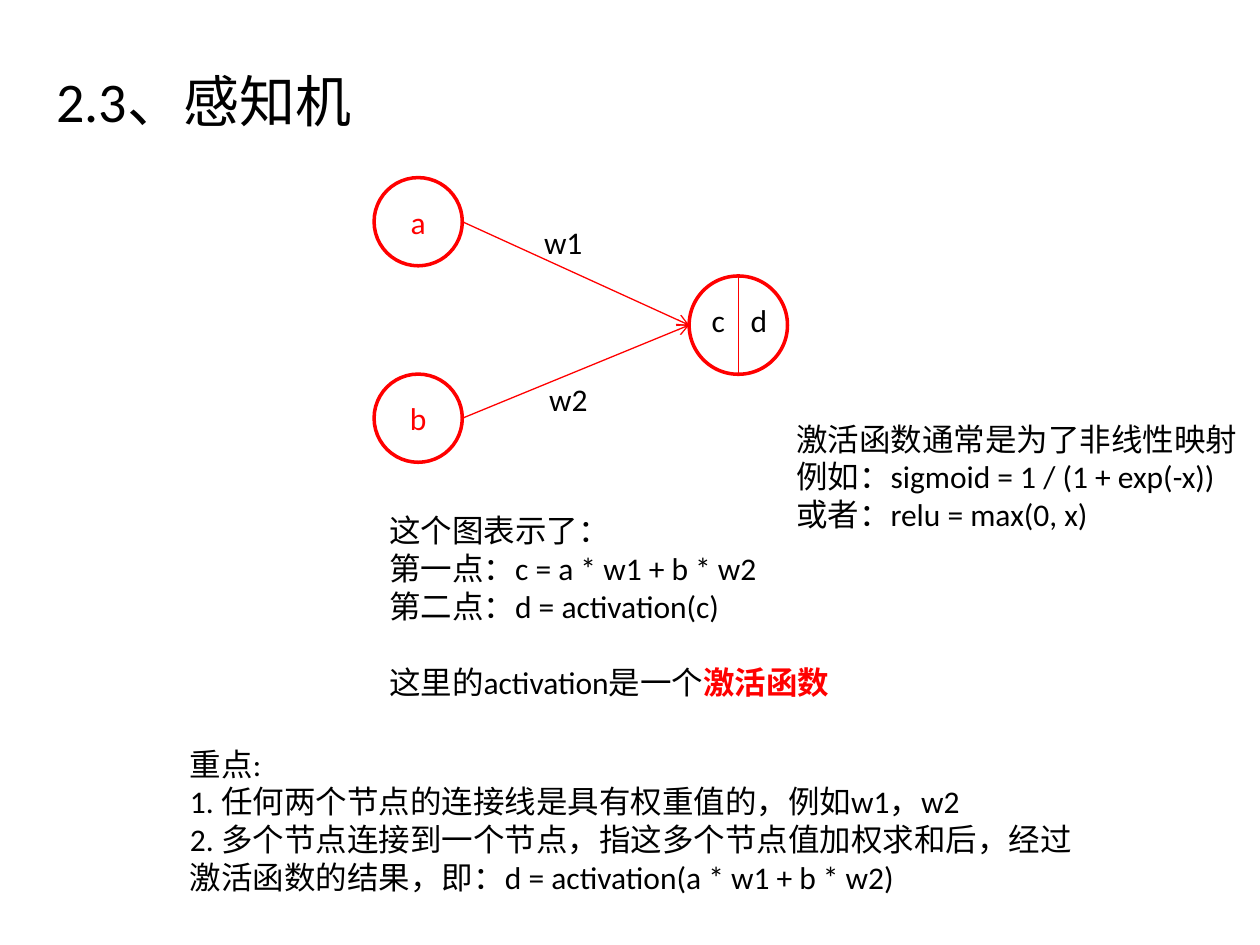
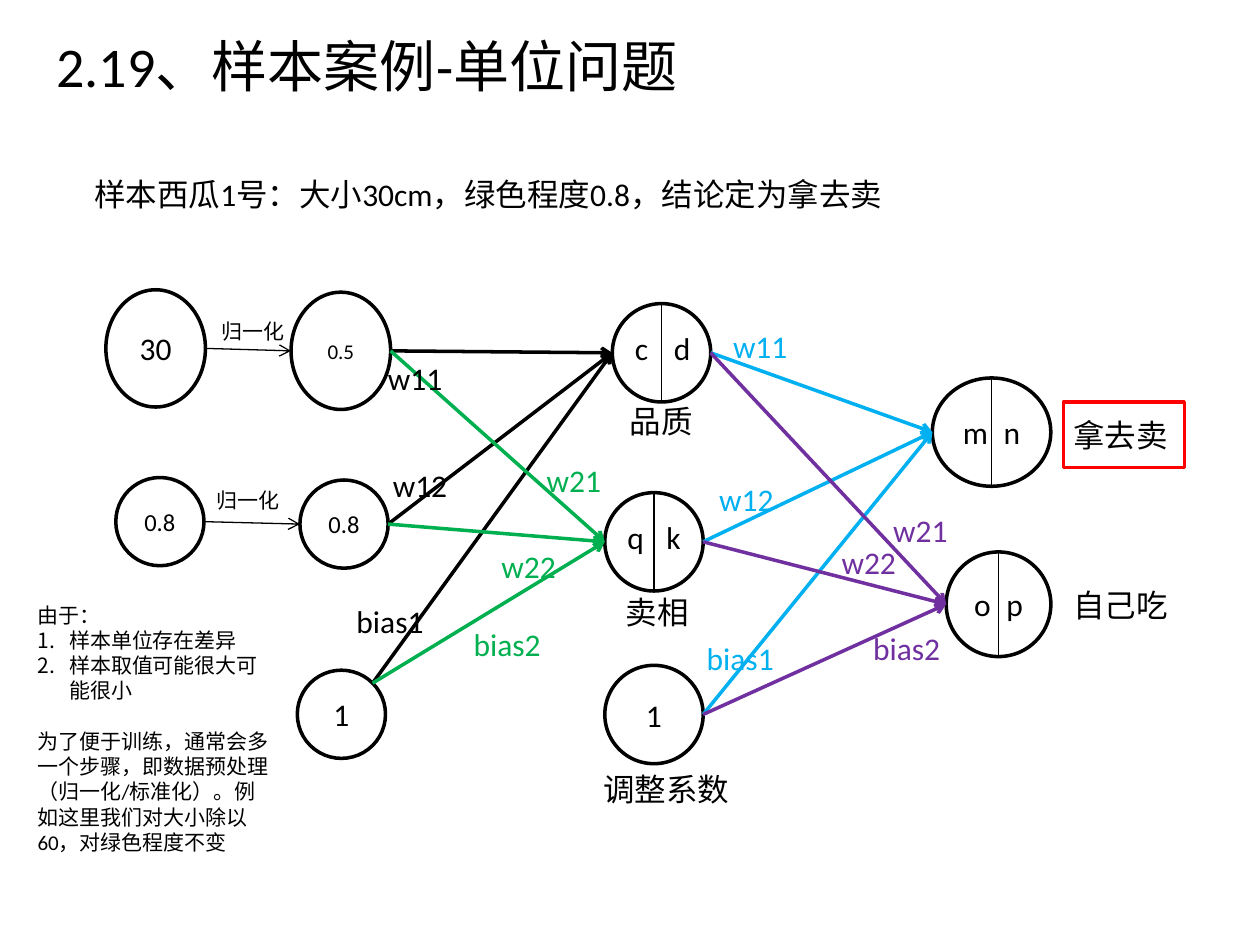
from dataclasses import dataclass
from math import cos, radians, sin

from lxml.etree import SubElement
from pptx import Presentation
from pptx.dml.color import RGBColor as Rgb
from pptx.enum.shapes import MSO_CONNECTOR as Conn, MSO_SHAPE as Kind
from pptx.enum.text import MSO_ANCHOR as Anchor, PP_ALIGN as Align
from pptx.oxml.ns import qn
from pptx.util import Pt


@dataclass(frozen=True)
class Theme:
    """Colours, type sizes and line widths of the deck."""
    font: str = "Calibri"
    black: str = "000000"
    red: str = "FF0000"
    green: str = "00B050"
    blue: str = "00B0F0"
    violet: str = "7030A0"
    title: int = 32
    body: int = 18
    mid: int = 14
    small: int = 12
    thick: float = 2
    thin: float = 0.75


T = Theme()
ROW = 28.8  # height of a one-line label


def put(frame, text, *, size=T.body, color=T.black, bold=False,
        align=Align.LEFT, gap=0, num=False, join=False):
    """Add text to a frame, as a new paragraph or joined to the last one."""
    para = frame.paragraphs[-1]
    if para.runs and not join:
        para = frame.add_paragraph()
    if not join:
        para.alignment = align
        para.space_before = Pt(gap)
    if num:
        props = para._p.get_or_add_pPr()
        props.set("marL", str(Pt(18)))
        props.set("indent", str(-Pt(18)))
        SubElement(props, qn("a:buFont"), typeface="+mj-lt")
        SubElement(props, qn("a:buAutoNum"), type="arabicPeriod")
    run = para.add_run()
    run.text = text
    font = run.font
    font.name, font.size, font.bold = T.font, Pt(size), bold
    font.color.rgb = Rgb.from_string(color)


def frame(slide, x, y, w, h):
    """Add an empty text box and return its wrapping frame."""
    box = slide.shapes.add_textbox(Pt(x), Pt(y), Pt(w), Pt(h))
    box.text_frame.word_wrap = True
    return box.text_frame


def label(slide, text, x, y, w, h=ROW, **fmt):
    """Add a text box with one paragraph."""
    put(frame(slide, x, y, w, h), text, **fmt)


def title(slide, text, y, w):
    """Add the slide title."""
    label(slide, text, 25.2, y, w, 46, size=T.title)


def shape(slide, kind, x, y, w, h, color=T.black):
    """Add an unfilled outline shape."""
    item = slide.shapes.add_shape(kind, Pt(x), Pt(y), Pt(w), Pt(h))
    item.shadow.inherit = False
    item.fill.background()
    item.line.color.rgb = Rgb.from_string(color)
    item.line.width = Pt(T.thick)
    return item


def node(slide, x, y, w, h=None, text="", color=T.black, size=T.body):
    """Add a round network node, with text in its middle if given."""
    item = shape(slide, Kind.OVAL, x, y, w, h or w, color)
    if text:
        item.text_frame.vertical_anchor = Anchor.MIDDLE
        put(item.text_frame, text, size=size, color=color, align=Align.CENTER)
    return item


def rim(item, angle):
    """Return the point on a node's rim at an angle, anticlockwise from right."""
    rx, ry, turn = item.width / 2, item.height / 2, radians(angle)
    return (round(item.left + rx + rx * cos(turn)),
            round(item.top + ry - ry * sin(turn)))


def line(slide, start, end, color, width=T.thin, arrow=False):
    """Draw a straight line, with an arrowhead at its end on request."""
    item = slide.shapes.add_connector(Conn.STRAIGHT, *start, *end)
    item.line.color.rgb = Rgb.from_string(color)
    item.line.width = Pt(width)
    if arrow:
        SubElement(item.line._get_or_add_ln(), qn("a:tailEnd"), type="arrow")
    SubElement(item._element.spPr, qn("a:effectLst"))


def link(slide, src, dst, color, width=T.thick, angle=0):
    """Draw an arrow from a node's rim to the left of the next node."""
    line(slide, rim(src, angle), rim(dst, 180), color, width, True)


def split(slide, item, color=T.black, pair=""):
    """Cut a node down its middle and letter the two halves."""
    line(slide, rim(item, 90), rim(item, 270), color)
    mid, top = rim(item, 90)
    for text, shift in zip(pair, (-22.3, 0)):
        label(slide, text, mid.real / Pt(1) + shift, top / Pt(1) + 10.8, 24)


def single(slide):
    """Build the slide on one perceptron."""
    title(slide, "2.3、感知机", 34.6, 185)
    ins = [node(slide, 213.8, y, 50.4, text=text, color=T.red)
           for text, y in (("a", 101.5), ("b", 213.8))]
    out = node(slide, 393.8, 157.7, 56.2, color=T.red)
    for item in ins:
        link(slide, item, out, T.red, T.thin)
    split(slide, out, T.red, "cd")
    label(slide, "w1", 303.8, 123.8, 37)
    label(slide, "w2", 306.7, 213.8, 37)

    note = frame(slide, 215.3, 288.7, 268.6, 116.6)
    for text in ("这个图表示了：", "第一点：c = a * w1 + b * w2",
                 "第二点：d = activation(c)"):
        put(note, text)
    put(note, "这里的activation是一个", gap=22)
    put(note, "激活函数", color=T.red, bold=True, join=True)

    keys = frame(slide, 101.5, 421.9, 523.4, 94.3)
    for text in ("重点:", "1. 任何两个节点的连接线是具有权重值的，例如w1，w2",
                 "2. 多个节点连接到一个节点，指这多个节点值加权求和后，经过",
                 "激活函数的结果，即：d = activation(a * w1 + b * w2)"):
        put(keys, text)

    hint = frame(slide, 447.8, 236.2, 272.2, 72.7)
    for text in ("激活函数通常是为了非线性映射",
                 "例如：sigmoid = 1 / (1 + exp(-x))", "或者：relu = max(0, x)"):
        put(hint, text)


def sample(slide):
    """Build the slide on the melon sample and its two-layer network."""
    title(slide, "2.19、样本案例-单位问题", 14.4, 373)
    label(slide, "样本西瓜1号：大小30cm，绿色程度0.8，结论定为拿去卖",
          46.8, 96.5, 468.7)

    raw = [node(slide, 60.5, 165.6, 56.9, 67, "30"),
           node(slide, 66.2, 272.9, 50.4, text="0.8", size=T.mid)]
    ins = [node(slide, 166.3, 167, 56.9, 67, "0.5", size=T.small),
           node(slide, 171.4, 274.3, 50.4, text="0.8", size=T.mid)]
    bias = node(slide, 169.9, 383, 50.4, text="1")
    hid = [node(slide, 349.9, 173.5, 56.2), node(slide, 345.6, 281.5, 56.2)]
    unit = node(slide, 345.6, 380.2, 56.2, text="1")
    outs = [node(slide, 532.8, 216, 67.7, 61.9, "m\u2002n"),
            node(slide, 540.7, 315.4, 59.8, text="o\u2002p")]

    for src, dst in zip(raw, ins):
        link(slide, src, dst, T.black, T.thin)
    for dst, color in zip(hid, (T.black, T.green)):
        for src in ins:
            link(slide, src, dst, color)
        link(slide, bias, dst, color, angle=45)
    for dst, color in zip(outs, (T.blue, T.violet)):
        for src in (*hid, unit):
            link(slide, src, dst, color)
    for item, pair in zip(hid + outs, ("cd", "qk", "", "")):
        split(slide, item, pair=pair)

    tags = {
        T.black: (("w11", 214.6, 201.6), ("w12", 217.4, 262.8),
                  ("bias1", 196.6, 340.6)),
        T.green: (("w21", 305.3, 259.9), ("w22", 279.4, 308.9),
                  ("bias2", 263.5, 353.5)),
        T.blue: (("w11", 411.8, 183.6), ("w12", 403.9, 270.7),
                 ("bias1", 396.7, 361.4)),
        T.violet: (("w21", 503.3, 288.7), ("w22", 473.8, 306.7),
                   ("bias2", 491.8, 355.7)),
    }
    for color, group in tags.items():
        for text, x, y in group:
            label(slide, text, x, y, 46 if text[0] == "w" else 53.5,
                  color=color)
    for text, x, y in (("品质", 352.8, 226.1), ("卖相", 350.6, 335.5),
                       ("调整系数", 337.7, 436.3), ("拿去卖", 606.2, 234),
                       ("自己吃", 606.2, 331.2)):
        label(slide, text, x, y, 15 + 18 * len(text))
    for x, y in ((119.5, 178.6), (116.6, 275)):
        label(slide, "归一化", x, y, 51, 21.6, size=T.small)
    shape(slide, Kind.RECTANGLE, 607.7, 229.7, 69.1, 37.4, T.red)

    why = frame(slide, 14.4, 340.6, 149.8, 152.6)
    put(why, "由于：", size=T.small)
    for text in ("样本单位存在差异", "样本取值可能很大可能很小"):
        put(why, text, size=T.small, num=True)
    put(why, "为了便于训练，通常会多一个步骤，即数据预处理（归一化/标准化）。"
        "例如这里我们对大小除以60，对绿色程度不变", size=T.small, gap=14.5)


def main():
    """Build and save the deck."""
    deck = Presentation()
    deck.slide_width, deck.slide_height = Pt(720), Pt(540)
    for build in (single, sample):
        build(deck.slides.add_slide(deck.slide_layouts[6]))
    deck.save("out.pptx")


main()
